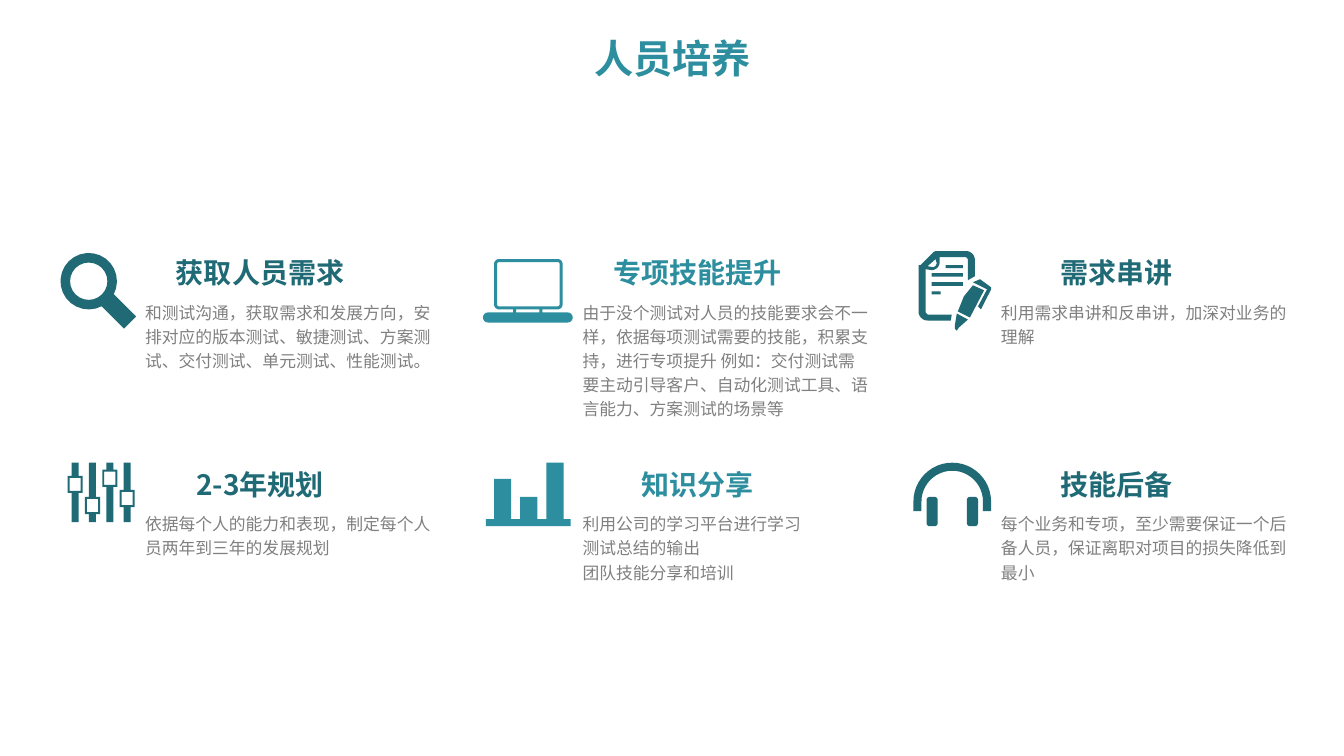
from math import cos, radians, sin

from pptx import Presentation
from pptx.dml.color import RGBColor
from pptx.enum.text import MSO_ANCHOR, PP_ALIGN
from pptx.util import Inches, Pt

COLORS = {"dark": "206A76", "light": "2C8E9E", "body": "808080"}
WIDTH, HEIGHT = 13.33, 7.5
COLUMNS = (1.34, 5.68, 9.83)
ROWS = (2.49, 4.59)


def rect(left, top, width, height):
    right, bottom = left + width, top + height
    return [(left, top), (right, top), (right, bottom), (left, bottom)]


def arc(x, y, radius, start, end, steps=24):
    angles = [radians(start + (end - start) * i / steps) for i in range(steps + 1)]
    return [(x + radius * cos(a), y + radius * sin(a)) for a in angles]


def rounded(left, top, width, height, radius):
    right, bottom = left + width - radius, top + height - radius
    left, top = left + radius, top + radius
    corners = ((right, bottom), (left, bottom), (left, top), (right, top))
    return [point for i, (x, y) in enumerate(corners)
            for point in arc(x, y, radius, 90 * i, 90 * i + 90, 6)]


def draw(slide, origin, color, *contours):
    """Fill one freeform; a contour inside another cuts a hole."""
    left, top = origin
    placed = [[(Inches(left + x), Inches(top + y)) for x, y in c] for c in contours]
    builder = slide.shapes.build_freeform(*placed[0][0], scale=1.0)
    for index, points in enumerate(placed):
        if index:
            builder.move_to(*points[0])
        builder.add_line_segments(points[1:], close=True)
    shape = builder.convert_to_shape()
    shape.shadow.inherit = False
    shape.fill.solid()
    shape.fill.fore_color.rgb = RGBColor.from_string(COLORS[color])
    shape.line.fill.background()


def magnifier(slide, origin, color):
    lens = (0.27, 0.28)
    handle = [(0.52, 0.41), (0.74, 0.63), (0.62, 0.75), (0.4, 0.53)]
    draw(slide, origin, color, arc(*lens, 0.28, 62, 388) + handle,
         arc(*lens, 0.185, 0, 360))


def laptop(slide, origin, color):
    draw(slide, origin, color,
         rounded(0.11, 0, 0.68, 0.5, 0.05), rounded(0.14, 0.03, 0.62, 0.44, 0.02),
         rounded(0, 0.53, 0.89, 0.1, 0.05),
         rect(0.3, 0.5, 0.03, 0.03), rect(0.56, 0.5, 0.03, 0.03))


def document(slide, origin, color):
    """A sheet with a folded corner, lines of writing and a pen."""
    sheet = [(0.17, 0), *arc(0.47, 0.09, 0.09, -90, 0, 6), (0.56, 0.25), (0.49, 0.29),
             (0.49, 0.08), (0.47, 0.06), (0.21, 0.06),
             *arc(0.13, 0.11, 0.08, 0, 90, 6), (0.07, 0.18), (0.07, 0.61),
             (0.09, 0.63), (0.33, 0.63), (0.32, 0.69),
             *arc(0.09, 0.6, 0.09, 90, 180, 6), (0, 0.14), (0.02, 0.14), (0.15, 0.01)]
    fold = [(0.09, 0.15), (0.17, 0.08), *arc(0.14, 0.12, 0.04, 0, 90, 6)]
    clip = [(0.54, 0.31), (0.61, 0.28), (0.72, 0.36), (0.72, 0.38),
            (0.62, 0.58), (0.59, 0.55), (0.68, 0.38)]
    barrel = [(0.54, 0.34), (0.65, 0.39), (0.51, 0.66), (0.39, 0.6), (0.45, 0.45)]
    nib = [(0.38, 0.62), (0.49, 0.68), (0.4, 0.76), (0.38, 0.79), (0.36, 0.77), (0.36, 0.74)]
    writing = [rect(0.13, y, 0.31, 0.035) for y in (0.22, 0.31)]
    draw(slide, origin, color, sheet, fold, clip, barrel, nib, *writing,
         rect(0.27, 0.14, 0.17, 0.03), rect(0.13, 0.4, 0.09, 0.03))


def sliders(slide, origin, color):
    height, knob = 0.59, 0.17
    for index, y in enumerate((0.13, 0.34, 0.07, 0.27)):
        x = index * 0.172
        draw(slide, origin, color,
             rect(x + 0.04, 0, 0.07, y), rect(x, y, 0.15, knob),
             rect(x + 0.02, y + 0.02, 0.11, knob - 0.04),
             rect(x + 0.04, y + knob, 0.07, height - y - knob))


def bars(slide, origin, color):
    base = 0.56
    columns = [rect(x, y, 0.17, base - y)
               for x, y in ((0.08, 0.16), (0.34, 0.34), (0.6, 0))]
    draw(slide, origin, color, rect(0, base, 0.84, 0.07), *columns)


def headphones(slide, origin, color):
    middle = 0.385
    draw(slide, origin, color,
         [(0, 0.48), *arc(middle, middle, middle, 180, 360), (0.77, 0.48),
          (0.69, 0.48), *arc(middle, middle, 0.305, 360, 180), (0.08, 0.48)])
    for x in (0.13, 0.53):
        draw(slide, origin, color, rounded(x, 0.34, 0.11, 0.29, 0.03))


def format_text(frame, font, size, color, bold, align, spacing):
    frame.word_wrap = True
    for para in frame.paragraphs:
        para.alignment = align
        para.line_spacing = spacing
        for span in para.runs:
            span.font.name, span.font.size, span.font.bold = font, Pt(size), bold
            span.font.color.rgb = RGBColor.from_string(COLORS[color])


def add_text(slide, left, top, width, height, text, *style):
    box = slide.shapes.add_textbox(*map(Inches, (left, top, width, height)))
    box.text_frame.text = text
    format_text(box.text_frame, *style)


def add_title(slide, text):
    title = slide.shapes.title
    title.left, title.top = Inches(0.92), Inches(0.23)
    title.width, title.height = Inches(11.5), Inches(0.75)
    title.text_frame.text = text
    title.text_frame.vertical_anchor = MSO_ANCHOR.MIDDLE
    format_text(title.text_frame, "Montserrat", 28, "light", True, PP_ALIGN.CENTER, 0.9)


def add_topic(slide, left, top, icon, offset, color, heading, body):
    """Icon at an offset from the text corner, heading, then body."""
    icon(slide, (left + offset[0], top + offset[1]), color)
    add_text(slide, left, top, 2.48, 0.44, heading,
             "Noto Sans CJK SC", 20, color, True, PP_ALIGN.CENTER, 1.0)
    add_text(slide, left, top + 0.42, 3.06, 0.83, body,
             "Arial", 12, "body", False, PP_ALIGN.LEFT, 1.2)


TOPICS = [
    (magnifier, (-0.73, 0.02), "dark", "获取人员需求",
     "和测试沟通，获取需求和发展方向，安排对应的版本测试、敏捷测试、方案测试、交付测试、单元测试、性能测试。"),
    (laptop, (-0.89, 0.08), "light", "专项技能提升",
     "由于没个测试对人员的技能要求会不一样，依据每项测试需要的技能，积累支持，进行专项提升 例如：交付测试需要主动引导客户、自动化测试工具、语言能力、方案测试的场景等"),
    (document, (-0.72, 0), "dark", "需求串讲",
     "利用需求串讲和反串讲，加深对业务的理解"),
    (sliders, (-0.67, 0), "dark", "2-3年规划",
     "依据每个人的能力和表现，制定每个人员两年到三年的发展规划"),
    (bars, (-0.86, 0), "light", "知识分享",
     "利用公司的学习平台进行学习\n测试总结的输出\n团队技能分享和培训"),
    (headphones, (-0.77, 0), "dark", "技能后备",
     "每个业务和专项，至少需要保证一个后备人员，保证离职对项目的损失降低到最小"),
]


def main():
    deck = Presentation()
    deck.slide_width, deck.slide_height = Inches(WIDTH), Inches(HEIGHT)
    page = deck.slides.add_slide(deck.slide_layouts[5])
    add_title(page, "人员培养")
    for index, topic in enumerate(TOPICS):
        row, column = divmod(index, len(COLUMNS))
        add_topic(page, COLUMNS[column], ROWS[row], *topic)
    deck.save("out.pptx")


if __name__ == "__main__":
    main()
